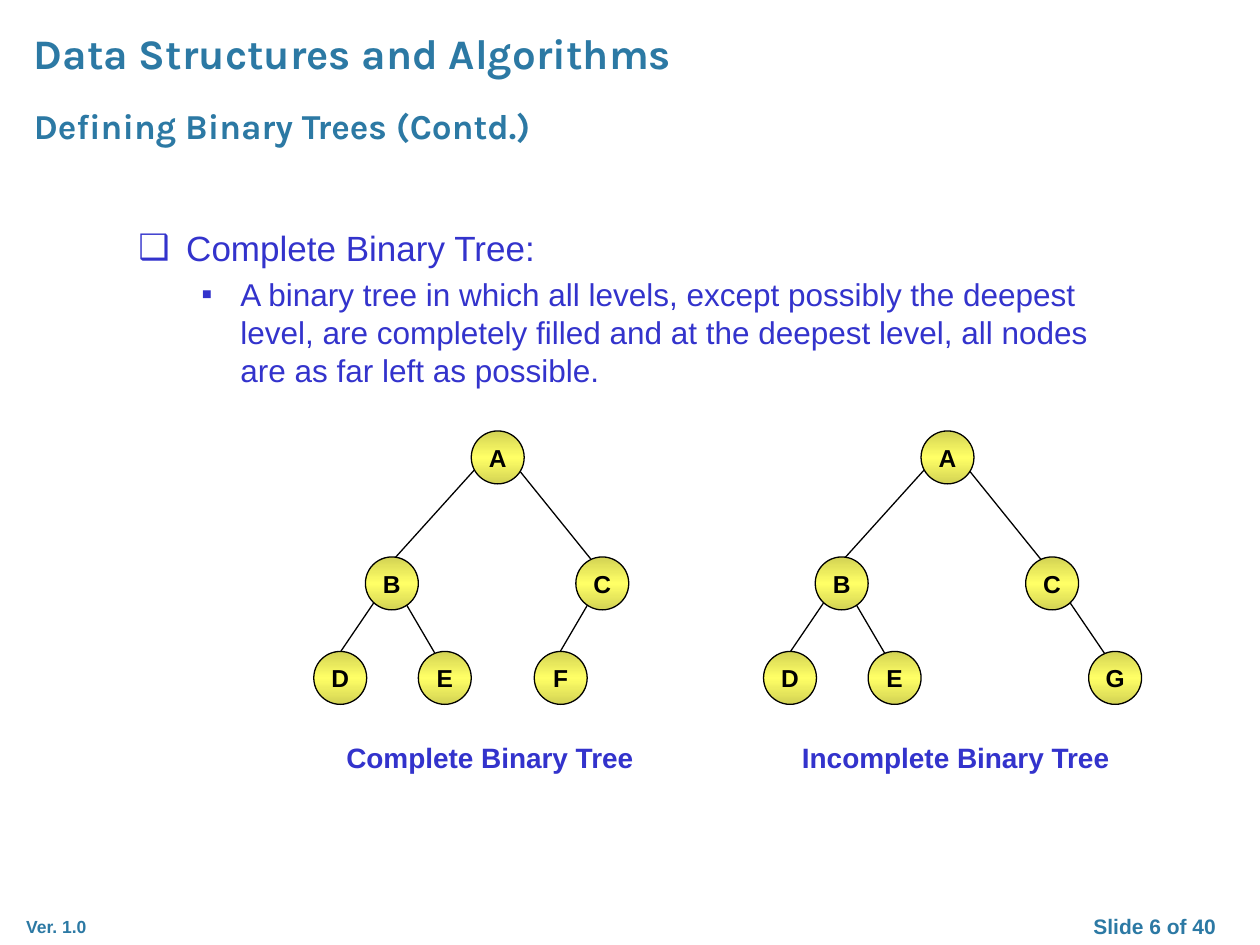
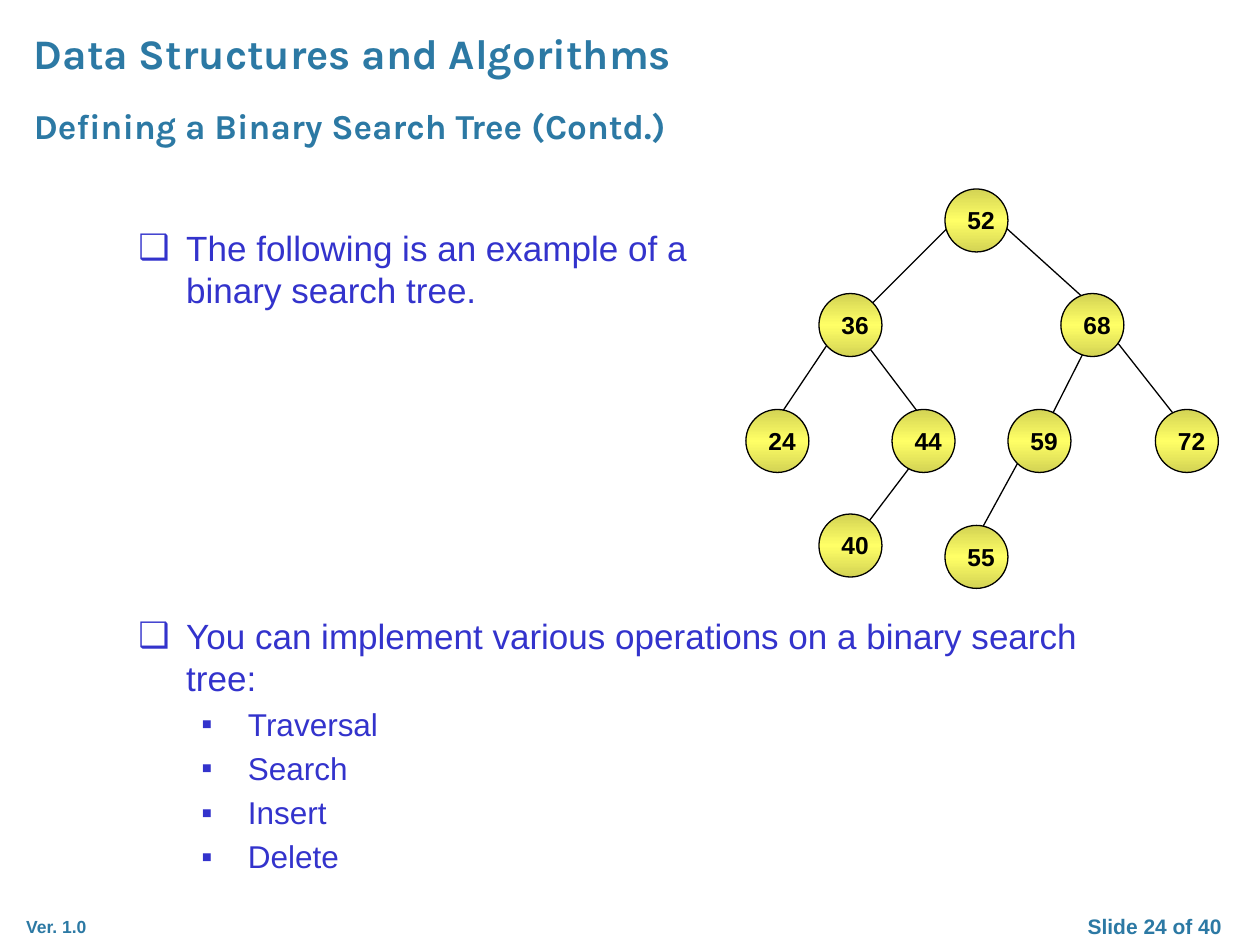
from copy import deepcopy
from dataclasses import dataclass

from lxml.etree import SubElement
from pptx import Presentation
from pptx.dml.color import RGBColor
from pptx.enum.shapes import MSO_CONNECTOR, MSO_SHAPE
from pptx.enum.text import MSO_ANCHOR, PP_ALIGN
from pptx.oxml.ns import qn
from pptx.util import Inches, Pt


@dataclass(frozen=True)
class Style:
    """The look of one kind of paragraph."""
    size: int
    color: str
    bold: bool = True
    font: str = "Arial"
    align: PP_ALIGN = PP_ALIGN.LEFT
    bullet: str = ""
    indent: float = 0
    hang: float = 0


class Theme:
    """Colours and paragraph styles shared by all slides."""
    teal, blue, black = "2C79A4", "3333CC", "000000"
    node_fill = ("D3D354", "FFFF66", "D3D354")
    line_width = 0.75
    title = Style(24, teal, font="Karla")
    subtitle = Style(20, teal, font="Karla")
    version = Style(10, teal)
    number = Style(12, teal, align=PP_ALIGN.CENTER)
    point = Style(20, blue, False, bullet="❑", indent=0.38, hang=0.38)
    detail = Style(18, blue, False, bullet="▪", indent=0.81, hang=0.31)
    item = Style(18, blue, False, bullet="▪", indent=0.87, hang=0.37)
    caption = Style(16, blue)
    caption_centered = Style(16, blue, align=PP_ALIGN.CENTER)
    node = Style(14, black, align=PP_ALIGN.CENTER)
    key = Style(14, black)


def write(shape, paragraphs, wrap=True):
    """Fill a shape with (style, text) paragraphs; a newline breaks the line."""
    frame = shape.text_frame
    frame.word_wrap = wrap
    for index, (style, text) in enumerate(paragraphs):
        para = frame.add_paragraph() if index else frame.paragraphs[0]
        para.alignment = style.align
        if index:
            para.space_before = Pt(style.size * 0.2)
        if style.bullet:
            properties = para._p.get_or_add_pPr()
            properties.set("marL", str(Inches(style.indent)))
            properties.set("indent", str(-Inches(style.hang)))
            SubElement(properties, qn("a:buFont")).set("typeface", "Arial")
            SubElement(properties, qn("a:buChar")).set("char", style.bullet)
        for number, line in enumerate(text.split("\n")):
            if number:
                para.add_line_break()
            span = para.add_run()
            span.text = line
            span.font.name = style.font
            span.font.size = Pt(style.size)
            span.font.bold = style.bold
            span.font.color.rgb = RGBColor.from_string(style.color)


def draw_tree(page, edges, nodes, diameter, shift=0):
    """Draw the edges, then the nodes over them; return the node shapes by label."""
    black = RGBColor.from_string(Theme.black)
    for x1, y1, x2, y2 in edges:
        edge = page.shapes.add_connector(
            MSO_CONNECTOR.STRAIGHT, Inches(x1 + shift), Inches(y1), Inches(x2 + shift), Inches(y2))
        edge.line.color.rgb = black
        edge.line.width = Pt(Theme.line_width)
        SubElement(edge._element.spPr, qn("a:effectLst"))
    shapes = {}
    for label, (left, top) in nodes.items():
        node = page.shapes.add_shape(
            MSO_SHAPE.OVAL, Inches(left + shift), Inches(top), Inches(diameter), Inches(diameter))
        node.shadow.inherit = False
        node.line.color.rgb = black
        node.line.width = Pt(Theme.line_width)
        node.fill.gradient()
        node.fill.gradient_angle = 90
        stop_list = node._element.spPr.find(qn("a:gradFill")).find(qn("a:gsLst"))
        stop_list.insert(1, deepcopy(stop_list[0]))
        for index, stop in enumerate(node.fill.gradient_stops):
            stop.position = index / 2
            stop.color.rgb = RGBColor.from_string(Theme.node_fill[index])
        shapes[label] = node
    return shapes


deck = Presentation()
deck.slide_width, deck.slide_height = Inches(10), Inches(7.5)

# Each slide: number, subtitle, and text boxes as (left, top, width, height, paragraphs)
slides = [
    (6, "Defining Binary Trees (Contd.)", [
        (1, 1.75, 8, 1.5, [
            (Theme.point, "Complete Binary Tree:"),
            (Theme.detail, "A binary tree in which all levels, except possibly the deepest level, "
                           "are completely filled and at the deepest level, all nodes are as far "
                           "left as possible."),
        ]),
        (2.65, 5.83, 2.75, 0.42, [(Theme.caption, "Complete Binary Tree")]),
        (5.92, 5.83, 3.33, 0.42, [(Theme.caption_centered, "Incomplete Binary Tree")]),
    ]),
    (24, "Defining a Binary Search Tree (Contd.)", [
        (1, 1.75, 7.5, 0.77, [
            (Theme.point, "The following is an example of a\nbinary search tree."),
        ]),
        (1, 4.83, 8, 2.3, [
            (Theme.point, "You can implement various operations on a binary search tree:"),
            *[(Theme.item, name) for name in ("Traversal", "Search", "Insert", "Delete")],
        ]),
    ]),
]

pages = []
for number, subtitle, boxes in slides:
    page = deck.slides.add_slide(deck.slide_layouts[6])
    pages.append(page)
    shared = [
        (8.33, 7.2, 1.67, 0.3, [(Theme.number, f"Slide {number} of 40")]),
        (0.17, 0.17, 8.33, 0.51, [(Theme.title, "Data Structures and Algorithms")]),
        (0.11, 7.22, 0.79, 0.27, [(Theme.version, "Ver. 1.0")]),
        (0.17, 0.78, 7.5, 0.43, [(Theme.subtitle, subtitle)]),
    ]
    for *bounds, paragraphs in shared + boxes:
        write(page.shapes.add_textbox(*map(Inches, bounds)), paragraphs)
binary_page, search_page = pages

# The complete and the incomplete tree differ only in the last leaf
common_edges = [
    (4.07, 3.67, 4.74, 4.5),
    (3.9, 3.58, 3.07, 4.5),
    (3.15, 4.67, 3.49, 5.25),
    (2.99, 4.75, 2.65, 5.25),
]
common_nodes = {
    "A": (3.74, 3.42), "B": (2.9, 4.42), "C": (4.57, 4.42), "D": (2.49, 5.17), "E": (3.32, 5.17),
}
last_leaves = [
    (0, "F", (4.24, 5.17), (4.74, 4.67, 4.4, 5.25)),
    (3.57, "G", (5.07, 5.17), (4.9, 4.75, 5.24, 5.25)),
]
for shift, leaf, place, edge in last_leaves:
    nodes = draw_tree(binary_page, [edge] + common_edges, {**common_nodes, leaf: place}, 0.42, shift)
    for label, node in nodes.items():
        node.text_frame.vertical_anchor = MSO_ANCHOR.MIDDLE
        write(node, [(Theme.node, label)], wrap=False)

search_edges = [
    (7.25, 3.67, 6.75, 4.33),
    (7.92, 1.75, 8.75, 2.5),
    (8.08, 3.67, 7.67, 4.42),
    (8.75, 2.5, 8.33, 3.33),
    (6.83, 2.67, 7.33, 3.33),
    (8.83, 2.67, 9.42, 3.42),
    (6.67, 2.58, 6, 3.58),
    (7.58, 1.75, 6.83, 2.5),
]
search_nodes = {
    "52": (7.5, 1.5), "36": (6.5, 2.33), "68": (8.42, 2.33),
    "24": (5.92, 3.25), "44": (7.08, 3.25), "59": (8, 3.25), "72": (9.17, 3.25),
    "40": (6.5, 4.08), "55": (7.5, 4.17),
}
draw_tree(search_page, search_edges, search_nodes, 0.5)
for key, (left, top) in search_nodes.items():
    box = search_page.shapes.add_textbox(
        Inches(left + 0.08), Inches(top + 0.08), Inches(0.42), Inches(0.33))
    write(box, [(Theme.key, key)], wrap=False)

deck.save("out.pptx")
